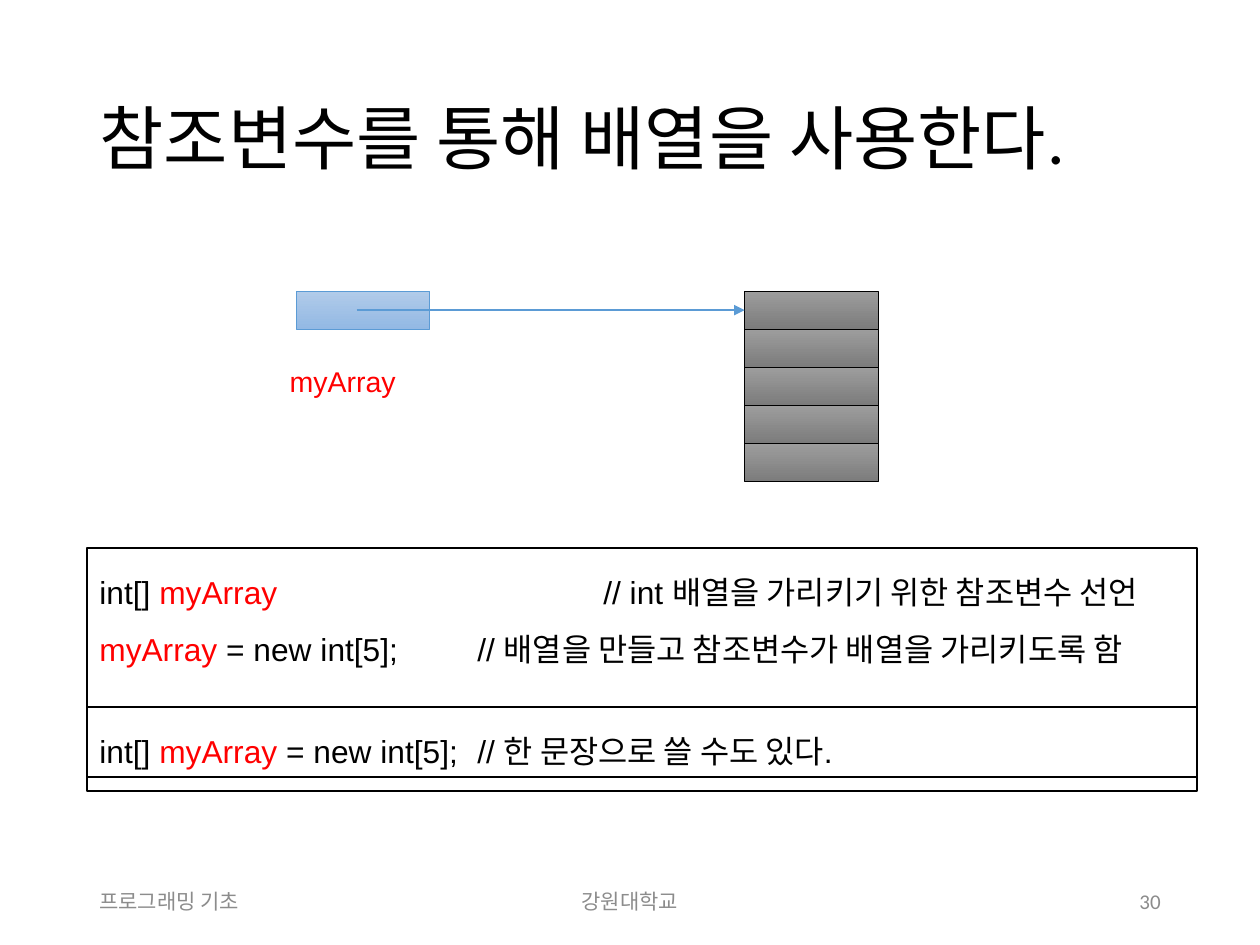
from dataclasses import dataclass

import lxml.etree
import pptx
import pptx.dml.color
import pptx.enum.shapes
import pptx.enum.text
import pptx.oxml.ns
import pptx.util

Inches = pptx.util.Inches
Pt = pptx.util.Pt
PP_ALIGN = pptx.enum.text.PP_ALIGN
MIDDLE = pptx.enum.text.MSO_ANCHOR.MIDDLE
qn = pptx.oxml.ns.qn

COLORS = {
    "text": "000000", "name": "FF0000", "footer": "8C8C8C", "paper": "FFFFFF",
    "line": "5B9BD5", "cell_top": "9D9D9D", "cell_bottom": "7C7C7C",
    "variable_top": "B1CBE9", "variable_bottom": "93B9E4",
}
WIDTH, HEIGHT = 10, 7.5
MARGIN = 0.69
CELL_W, CELL_H = 1.06, 0.3025
DIAGRAM_TOP = 2.31
VARIABLE_X, ARRAY_X = 2.35, 5.91
CELL_COUNT = 5


@dataclass
class Run:
    text: str
    color: str = "text"


@dataclass
class CodeLine:
    runs: list[Run]
    tab: float


@dataclass
class CodeBox:
    top: float
    height: float
    lines: list[CodeLine]


@dataclass
class Footer:
    text: str
    left: float
    width: float
    align: PP_ALIGN


CODE_BOXES = [
    CodeBox(4.35, 1.93, [
        CodeLine([Run("int[] "), Run("myArray", "name"),
                  Run("\t// int 배열을 가리키기 위한 참조변수 선언")], 4),
        CodeLine([Run("myArray ", "name"),
                  Run("= new int[5];\t// 배열을 만들고 참조변수가 배열을 가리키도록 함")], 3),
    ]),
    CodeBox(5.61, 0.56, [
        CodeLine([Run("int[] "), Run("myArray", "name"),
                  Run(" = new int[5];\t// 한 문장으로 쓸 수도 있다.")], 3),
    ]),
]
FOOTERS = [
    Footer("프로그래밍 기초", MARGIN, 2.25, PP_ALIGN.LEFT),
    Footer("강원대학교", 3.31, 3.38, PP_ALIGN.CENTER),
    Footer("30", WIDTH - MARGIN - 2.25, 2.25, PP_ALIGN.RIGHT),
]


def rgb(name: str) -> pptx.dml.color.RGBColor:
    return pptx.dml.color.RGBColor.from_string(COLORS[name])


def style(r, size: float, font: str, color: str) -> None:
    r.font.size = Pt(size)
    r.font.name = font
    r.font.color.rgb = rgb(color)


def add_rect(s, left: float, top: float, width: float, height: float, line: str, weight: float):
    sp = s.shapes.add_shape(pptx.enum.shapes.MSO_SHAPE.RECTANGLE,
                            Inches(left), Inches(top), Inches(width), Inches(height))
    sp.shadow.inherit = False
    sp.line.color.rgb = rgb(line)
    sp.line.width = Pt(weight)
    return sp


def add_cell(s, left: float, row: int, kind: str, line: str) -> None:
    sp = add_rect(s, left, DIAGRAM_TOP + row * CELL_H, CELL_W, CELL_H, line, 0.5)
    sp.fill.gradient()
    sp.fill.gradient_angle = 270
    for stop, end, position in zip(sp.fill.gradient_stops, ("top", "bottom"), (0, 1)):
        stop.color.rgb = rgb(f"{kind}_{end}")
        stop.position = position


def add_code(s, box: CodeBox) -> None:
    sp = add_rect(s, MARGIN, box.top, 8.81, box.height, "text", 1)
    sp.fill.solid()
    sp.fill.fore_color.rgb = rgb("paper")
    tf = sp.text_frame
    tf.word_wrap = True
    tf.vertical_anchor = pptx.enum.text.MSO_ANCHOR.TOP
    for i, line in enumerate(box.lines):
        p = tf.add_paragraph() if i else tf.paragraphs[0]
        p.alignment = PP_ALIGN.LEFT
        p.line_spacing = 1.5
        tabs = lxml.etree.SubElement(p._p.get_or_add_pPr(), qn("a:tabLst"))
        lxml.etree.SubElement(tabs, qn("a:tab"), pos=str(Inches(line.tab)), algn="l")
        for run in line.runs:
            r = p.add_run()
            r.text = run.text
            style(r, 18.1, "Arial", run.color)


def add_label(s, text: str, left: float, top: float, width: float, height: float,
              size: float, font: str, color: str, align: PP_ALIGN = PP_ALIGN.LEFT):
    sp = s.shapes.add_textbox(Inches(left), Inches(top), Inches(width), Inches(height))
    tf = sp.text_frame
    tf.text = text
    p = tf.paragraphs[0]
    p.alignment = align
    style(p.runs[0], size, font, color)
    return tf


def add_arrow(s) -> None:
    y = DIAGRAM_TOP + CELL_H / 2
    cx = s.shapes.add_connector(pptx.enum.shapes.MSO_CONNECTOR.STRAIGHT,
                                Inches(2.83), Inches(y), Inches(ARRAY_X), Inches(y))
    cx.line.color.rgb = rgb("line")
    cx.line.width = Pt(1)
    lxml.etree.SubElement(cx.line._get_or_add_ln(), qn("a:tailEnd"), type="triangle")
    lxml.etree.SubElement(cx._element.spPr, qn("a:effectLst"))


def add_title(s, text: str) -> None:
    sp = s.shapes.title
    sp.left, sp.top, sp.width, sp.height = map(Inches, (MARGIN, 0.4, WIDTH - 2 * MARGIN, 1.45))
    tf = sp.text_frame
    tf.text = text
    tf.word_wrap = True
    tf.auto_size = pptx.enum.text.MSO_AUTO_SIZE.NONE
    tf.vertical_anchor = MIDDLE
    p = tf.paragraphs[0]
    p.alignment = PP_ALIGN.LEFT
    p.line_spacing = 0.9
    style(p.runs[0], 39.9, "Calibri", "text")


prs = pptx.Presentation()
prs.slide_width, prs.slide_height = Inches(WIDTH), Inches(HEIGHT)
s = prs.slides.add_slide(prs.slide_layouts[5])
add_title(s, "참조변수를 통해 배열을 사용한다.")
for row in range(CELL_COUNT):
    add_cell(s, ARRAY_X, row, "cell", "text")
add_cell(s, VARIABLE_X, 0, "variable", "line")
add_arrow(s)
tf = add_label(s, "myArray", 2.2, 2.84, 1.06, 0.38, 16.3, "Arial", "name")
tf.word_wrap = False
for box in CODE_BOXES:
    add_code(s, box)
for f in FOOTERS:
    tf = add_label(s, f.text, f.left, 6.95, f.width, 0.4, 12, "Calibri", "footer", f.align)
    tf.word_wrap = True
    tf.vertical_anchor = MIDDLE
prs.save("out.pptx")
